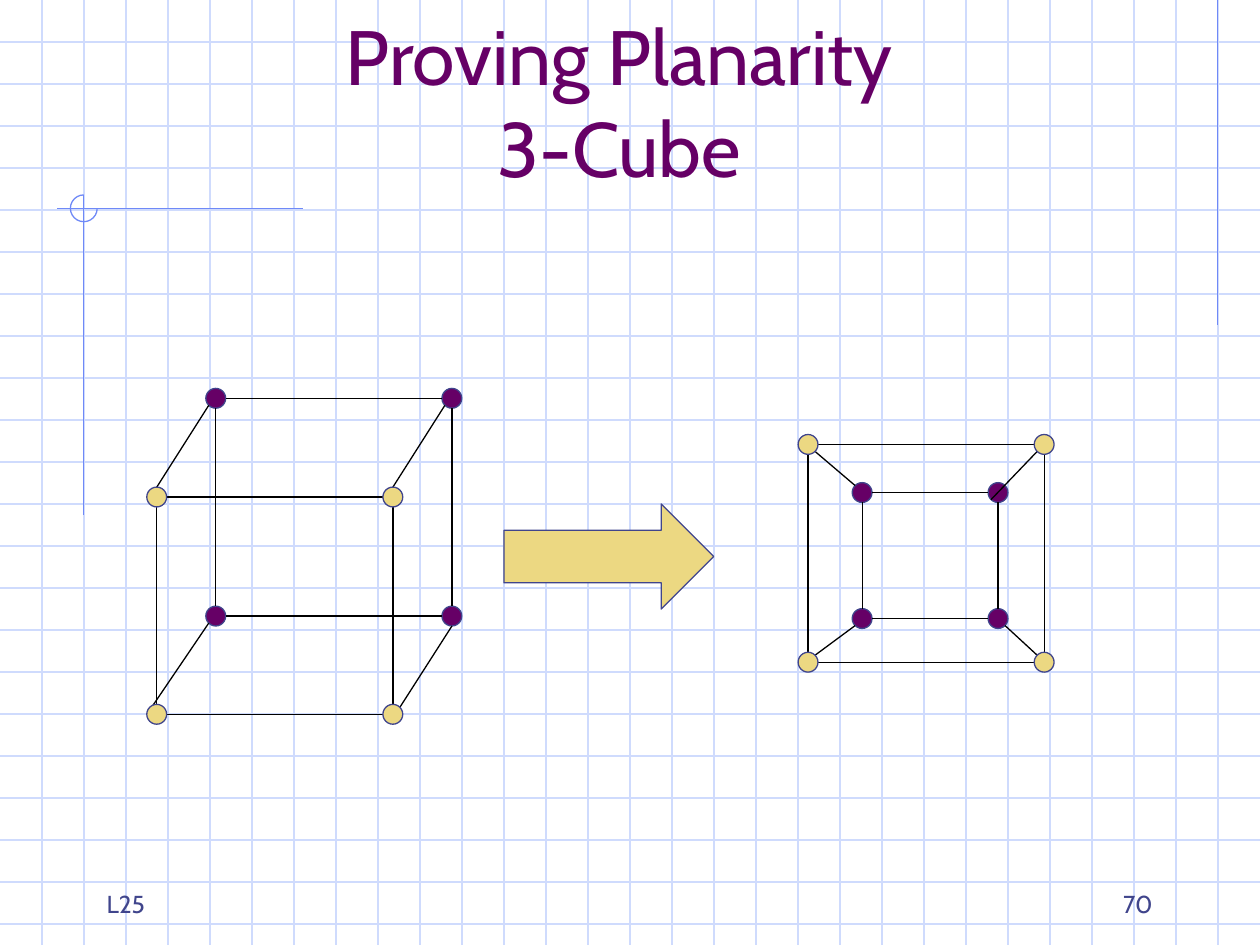
from dataclasses import dataclass
from itertools import product
from math import cos, radians, sin

from lxml.etree import SubElement
from pptx import Presentation
from pptx.dml.color import RGBColor
from pptx.enum.shapes import MSO_CONNECTOR, MSO_SHAPE
from pptx.enum.text import MSO_ANCHOR, MSO_AUTO_SIZE, PP_ALIGN
from pptx.oxml.ns import qn
from pptx.util import Cm, Pt


@dataclass(frozen=True)
class Theme:
    font: str = "Cabin"
    title_size: int = 44
    footer_size: int = 14
    line_width: float = 0.75
    purple: str = "660066"
    gold: str = "ECD882"
    outline: str = "40458C"
    edge: str = "000000"
    grid: str = "CFDBFD"
    accent: str = "6F89F7"


THEME = Theme()
WIDTH, HEIGHT = 25.4, 19.05
GRID_STEP = WIDTH / 30
NODE_RADIUS = 0.2
ANGLES = {"E": 0, "SE": 45, "S": 90, "SW": 135, "W": 180, "NW": 225, "N": 270, "NE": 315}
SIDES = [("TL", "E", "TR", "W"), ("BL", "E", "BR", "W"),
         ("TL", "S", "BL", "N"), ("TR", "S", "BR", "N")]


def color(code):
    return RGBColor.from_string(code)


def add_line(shapes, start, end, line_color):
    points = [Cm(value) for value in (*start, *end)]
    line = shapes.add_connector(MSO_CONNECTOR.STRAIGHT, *points)
    line.line.color.rgb = color(line_color)
    line.line.width = Pt(THEME.line_width)
    SubElement(line._element.spPr, qn("a:effectLst"))


def add_figure(shapes, kind, left, top, width, height, line_color, fill=None):
    figure = shapes.add_shape(kind, Cm(left), Cm(top), Cm(width), Cm(height))
    figure.shadow.inherit = False
    if fill:
        figure.fill.solid()
        figure.fill.fore_color.rgb = color(fill)
    else:
        figure.fill.background()
    figure.line.color.rgb = color(line_color)
    figure.line.width = Pt(THEME.line_width)
    return figure


def format_text(box, text, size, text_color, align):
    frame = box.text_frame
    frame.text = text
    frame.word_wrap = True
    frame.auto_size = MSO_AUTO_SIZE.NONE
    frame.vertical_anchor = MSO_ANCHOR.BOTTOM
    para = frame.paragraphs[0]
    para.alignment = align
    para.font.name = THEME.font
    para.font.size = Pt(size)
    para.font.color.rgb = color(text_color)


def add_title(page, text):
    title = page.shapes.title
    title.left, title.top, title.width, title.height = Cm(1.69), Cm(0.85), Cm(21.59), Cm(3.17)
    format_text(title, text, THEME.title_size, THEME.purple, PP_ALIGN.CENTER)


def add_footer(page, left, text, align):
    box = page.shapes.add_textbox(Cm(left), Cm(17.36), Cm(5.29), Cm(1.27))
    format_text(box, text, THEME.footer_size, THEME.outline, align)


def add_background(page):
    group = page.shapes.add_group_shape()
    page.shapes._spTree.insert(2, group._element)
    for row in range(1, 23):
        add_line(group.shapes, (0, row * GRID_STEP), (WIDTH, row * GRID_STEP), THEME.grid)
    for column in range(1, 30):
        add_line(group.shapes, (column * GRID_STEP, 0), (column * GRID_STEP, HEIGHT), THEME.grid)
    for start, end in [((24.55, 0), (24.55, 6.55)),
                       ((6.1, 4.2), (1.15, 4.2)),
                       ((1.69, 3.93), (1.69, 10.39))]:
        add_line(group.shapes, start, end, THEME.accent)
    arc = add_figure(group.shapes, MSO_SHAPE.ARC, 1.42, 3.93, 0.54, 0.54, THEME.accent)
    arc.adjustments[0] = 0
    arc.adjustments[1] = 162


def square(left, top, right, bottom):
    corners = product((("T", top), ("B", bottom)), (("L", left), ("R", right)))
    return {row + column: (x, y) for (row, y), (column, x) in corners}


def site(center, direction):
    angle = radians(ANGLES[direction])
    return center[0] + NODE_RADIUS * cos(angle), center[1] + NODE_RADIUS * sin(angle)


def add_nodes(page, centers, fill):
    for x, y in centers.values():
        add_figure(page.shapes, MSO_SHAPE.OVAL, x - NODE_RADIUS, y - NODE_RADIUS,
                   2 * NODE_RADIUS, 2 * NODE_RADIUS, THEME.outline, fill)


def add_edges(page, starts, ends, edges):
    for start, leaving, end, entering in edges:
        add_line(page.shapes, site(starts[start], leaving), site(ends[end], entering), THEME.edge)


def add_graph(page, purple, gold, links):
    add_nodes(page, purple, THEME.purple)
    add_edges(page, purple, purple, SIDES)
    add_edges(page, gold, gold, SIDES)
    add_edges(page, purple, gold, links)
    add_nodes(page, gold, THEME.gold)


def main():
    deck = Presentation()
    deck.slide_width, deck.slide_height = Cm(WIDTH), Cm(HEIGHT)
    page = deck.slides.add_slide(deck.slide_layouts[5])
    add_background(page)
    add_title(page, "Proving Planarity\v3-Cube")
    add_graph(page, square(4.35, 8.03, 9.11, 12.42), square(3.16, 10.02, 7.92, 14.4),
              [("TL", "SW", "TL", "N"), ("TR", "SW", "TR", "N"),
               ("BL", "SW", "BL", "W"), ("BR", "S", "BR", "NE")])
    add_graph(page, square(17.38, 9.93, 20.12, 12.47), square(16.29, 8.96, 21.05, 13.35),
              [("TL", "NW", "TL", "SE"), ("TR", "SW", "TR", "SW"),
               ("BL", "SW", "BL", "NE"), ("BR", "SE", "BR", "NW")])
    add_figure(page.shapes, MSO_SHAPE.RIGHT_ARROW, 10.16, 10.16, 4.23, 2.12,
               THEME.outline, THEME.gold)
    add_footer(page, 18.2, "70", PP_ALIGN.RIGHT)
    add_footer(page, 1.9, "L25", PP_ALIGN.LEFT)
    deck.save("out.pptx")


if __name__ == "__main__":
    main()
